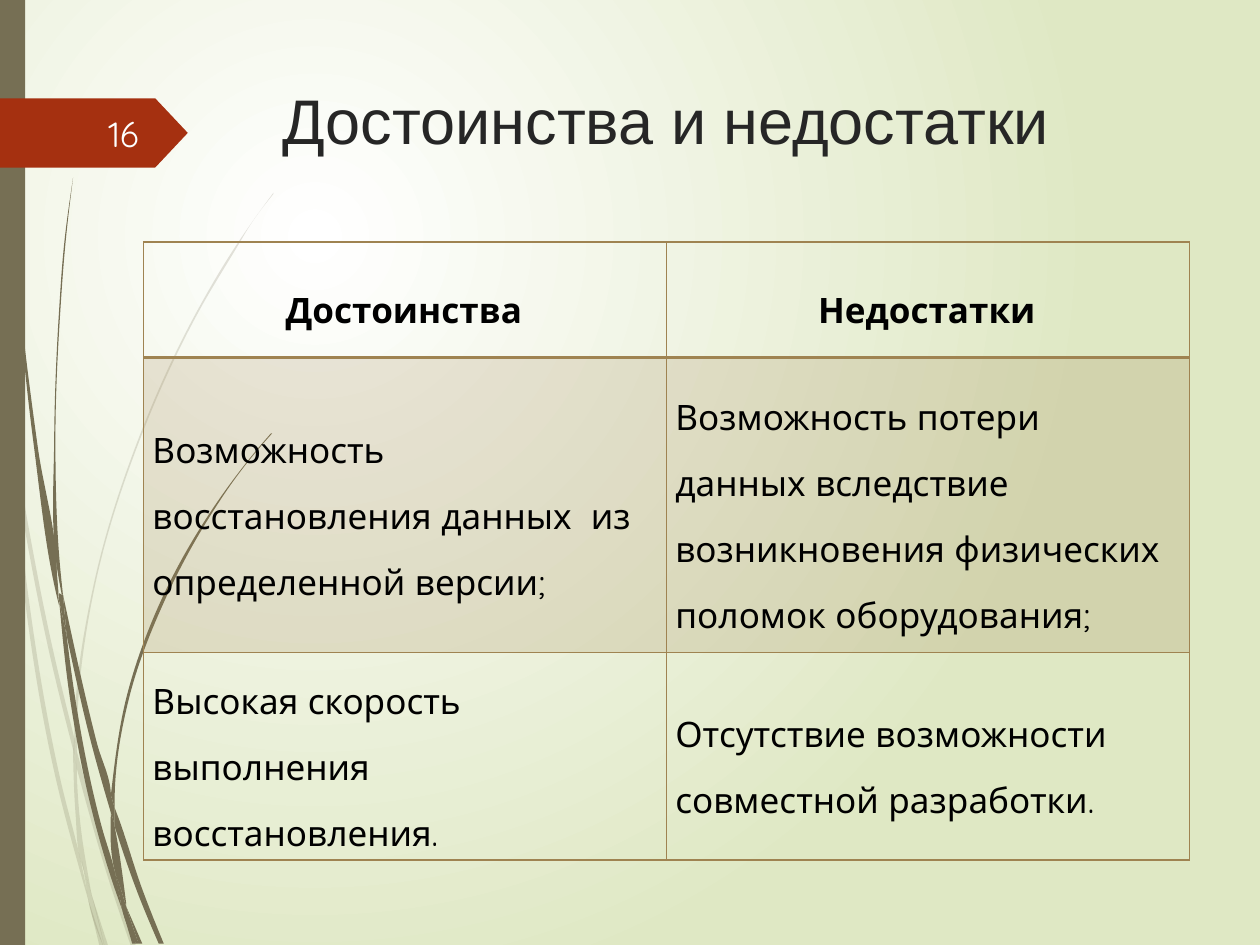
from typing import NamedTuple

from lxml.etree import SubElement as Sub
from pptx import Presentation
from pptx.dml.color import RGBColor
from pptx.enum.shapes import MSO_SHAPE as Shape
from pptx.enum.text import MSO_ANCHOR as Anchor, PP_ALIGN as Align
from pptx.oxml.ns import qn
from pptx.util import Inches, Pt

WHITE = RGBColor(0xFF, 0xFF, 0xFF)
LIME = RGBColor(0xDF, 0xE8, 0xC4)
OLIVE = RGBColor(0x76, 0x6F, 0x54)
RED = RGBColor(0xA5, 0x30, 0x10)
GOLD = RGBColor(0x9F, 0x83, 0x51)
DARK = RGBColor(0x26, 0x26, 0x26)
BLACK = RGBColor(0, 0, 0)
PALE = RGBColor(0xFE, 0xFF, 0xFF)

Point = tuple[float, float]


class Blade(NamedTuple):
    """Outline made of two smooth edges, one out and one back."""
    out: list[Point]
    back: list[Point]


class Entry(NamedTuple):
    text: str
    head: bool = False
    tint: bool = False


FAINT = [
    Blade([(0.08, 3.5), (0.06, 3.22), (0, 2.82)], [(0, 2.99), (0.07, 3.44)]),
    Blade([(0.12, 3.76), (0.4, 5.22), (0.59, 5.99)],
          [(0.59, 5.86), (0.43, 5.2), (0.1, 3.45)]),
    Blade([(0.61, 6.1), (0.85, 6.94), (1.04, 7.51)],
          [(1.08, 7.51), (0.88, 6.92), (0.64, 6.07), (0.61, 5.96)]),
    Blade([(0.73, 7.11), (0.83, 7.51)], [(0.86, 7.51)]),
    Blade([(0.08, 3.5), (0.19, 4.7), (0.45, 6.21), (0.64, 6.93), (0.7, 7.14)],
          [(0.69, 7.07), (0.64, 6.83), (0.48, 6.19), (0.22, 4.69), (0.12, 3.76)]),
    Blade([(0.58, 5.99), (0.6, 6.46), (0.64, 6.83), (0.67, 6.92), (0.73, 7.11)],
          [(0.72, 7.06), (0.63, 6.46), (0.61, 6.1), (0.61, 6.08)]),
    Blade([(0.61, 5.96), (0.61, 5.84), (0.76, 4.62), (1.11, 3.49), (1.59, 2.45),
           (1.87, 1.98), (2.01, 1.75), (2.17, 1.54)],
          [(2.17, 1.53), (2.01, 1.75), (1.86, 1.97), (1.58, 2.44), (1.1, 3.48),
           (0.75, 4.61), (0.59, 5.84), (0.59, 5.86)]),
    Blade([(0.7, 7.14), (0.79, 7.51)], [(0.82, 7.51)]),
    Blade([(0.61, 6.08), (0.61, 6.1), (0.61, 5.96)], [(0.59, 5.86), (0.58, 5.99)]),
    Blade([(0.65, 6.83), (0.69, 7.07), (0.7, 7.14), (0.82, 7.51)],
          [(0.83, 7.51), (0.73, 7.11), (0.67, 6.92)]),
]
STRONG = [
    Blade([(0.02, 0), (0.03, 0.48), (0.05, 1.1), (0.14, 2.33), (0.27, 3.55),
           (0.46, 4.77), (0.47, 4.81)],
          [(0.45, 4.57), (0.45, 4.53), (0.3, 3.55), (0.15, 2.32), (0.06, 1.09),
           (0.04, 0.48), (0.03, 0)]),
    Blade([(0.53, 5.05), (0.73, 5.92), (0.88, 6.45)],
          [(0.88, 6.33), (0.88, 6.31), (0.77, 5.9), (0.5, 4.72)]),
    Blade([(0.91, 6.56), (1.09, 7.08), (1.26, 7.49)],
          [(1.3, 7.49), (1.13, 7.06), (0.94, 6.49), (0.91, 6.41)]),
    Blade([(0.47, 4.77), (0.56, 5.57), (0.77, 6.59), (0.92, 7.08), (0.97, 7.22)],
          [(0.96, 7.17), (0.91, 6.91), (0.81, 6.57), (0.6, 5.56), (0.53, 5.05)]),
    Blade([(0.5, 4.72), (0.48, 4.53), (0.44, 3.49), (0.48, 2.45), (0.52, 1.93),
           (0.58, 1.41)],
          [(0.58, 1.41), (0.51, 1.93), (0.47, 2.45), (0.43, 3.49), (0.45, 4.49),
           (0.49, 4.72)]),
    Blade([(1, 7.19), (1.1, 7.49)], [(1.13, 7.49)]),
    Blade([(0.47, 4.77), (0.53, 5.05)],
          [(0.5, 4.72), (0.49, 4.72), (0.45, 4.49), (0.45, 4.53)]),
    Blade([(0.91, 6.41), (0.91, 6.33), (1.03, 5.52), (1.31, 4.76), (1.69, 4.06),
           (1.91, 3.74), (2.03, 3.59), (2.16, 3.44)],
          [(2.15, 3.44), (2.03, 3.58), (1.91, 3.73), (1.68, 4.05), (1.29, 4.74),
           (1.01, 5.51), (0.88, 6.31)]),
    Blade([(0.97, 7.22), (1.05, 7.49)], [(1.08, 7.49)]),
    Blade([(0.88, 6.45), (0.91, 6.91), (0.96, 7.06), (1, 7.19)],
          [(1, 7.16), (0.91, 6.56), (0.9, 6.51)]),
    Blade([(0.88, 6.45), (0.9, 6.51), (0.91, 6.56)], [(0.91, 6.41), (0.88, 6.31)]),
    Blade([(0.91, 6.91), (0.96, 7.17), (0.97, 7.22), (1.08, 7.49)],
          [(1.1, 7.49), (1, 7.19), (0.96, 7.06)]),
]
ROWS = [
    [Entry("Достоинства", head=True), Entry("Недостатки", head=True)],
    [Entry("Возможность восстановления данных  из определенной версии;", tint=True),
     Entry("Возможность потери данных вследствие возникновения физических "
           "поломок оборудования;", tint=True)],
    [Entry("Высокая скорость выполнения восстановления."),
     Entry("Отсутствие возможности совместной разработки.")],
]


def handles(edge: list[Point]) -> list[tuple[complex, complex]]:
    """Two Bezier control points for each step of a smooth edge."""
    dots = [complex(*p) for p in edge]
    steps = [b - a for a, b in zip(dots, dots[1:])]
    sizes = [abs(s) for s in steps]
    ways = [s / n for s, n in zip(steps, sizes)]
    mid = [(v * n + w * m) / (m + n)
           for v, w, m, n in zip(ways, ways[1:], sizes, sizes[1:])]
    if mid:
        tans = [1.5 * ways[0] - mid[0] / 2, *mid, 1.5 * ways[-1] - mid[-1] / 2]
    else:
        tans = ways * 2
    return [(a + s * n / 3, b - t * n / 3)
            for a, b, s, t, n in zip(dots, dots[1:], tans, tans[1:], sizes)]


def paint(item, color: RGBColor, alpha: int = 100) -> None:
    item.fill.solid()
    item.fill.fore_color.rgb = color
    if alpha < 100:
        tone = item.fill._xPr.find(qn("a:solidFill"))[0]
        Sub(tone, qn("a:alpha"), val=str(alpha * 1000))


def plain(shape, color: RGBColor, alpha: int = 100) -> None:
    paint(shape, color, alpha)
    shape.line.fill.background()
    shape.shadow.inherit = False


def draw_grass(slide, blades: list[Blade], alpha: int) -> None:
    group = slide.shapes.add_group_shape()
    for blade in blades:
        dots = [(Inches(x), Inches(y)) for x, y in blade.out + blade.back]
        pen = group.shapes.build_freeform(*dots[0])
        pen.add_line_segments(dots[1:], close=True)
        shape = pen.convert_to_shape()
        plain(shape, OLIVE, alpha)
        bends = [*handles(blade.out), None, *handles(blade.back)]
        for line, bend in zip(list(shape._element.iter(qn("a:lnTo"))), bends):
            if bend:
                line.tag = qn("a:cubicBezTo")
                for n, dot in enumerate(bend):
                    knob = Sub(line, qn("a:pt"), x=str(Inches(dot.real) - shape.left),
                               y=str(Inches(dot.imag) - shape.top))
                    line.insert(n, knob)


def write(frame, text: str, align: Align, spacing: float = 1, **font) -> None:
    para = frame.paragraphs[0]
    para.alignment, para.line_spacing = align, spacing
    run = para.add_run()
    run.text = text
    run.font.color.rgb = font.pop("color")
    for key, value in font.items():
        setattr(run.font, key, value)


def edge_cell(cell, widths: dict[str, float]) -> None:
    """Give the cell its four borders, in points."""
    props = cell._tc.get_or_add_tcPr()
    for side, width in widths.items():
        line = Sub(props, qn(f"a:ln{side}"), w=str(Pt(width)))
        Sub(Sub(line, qn("a:solidFill")), qn("a:srgbClr"), val=str(GOLD))


def fill_cell(cell, entry: Entry) -> None:
    edge_cell(cell, {"L": 1, "R": 1, "T": 2 if entry.tint else 1,
                     "B": 2 if entry.head else 1})
    if entry.tint:
        paint(cell, GOLD, 20)
    else:
        cell.fill.background()
    cell.vertical_anchor = Anchor.MIDDLE
    cell.margin_left, cell.margin_right = Inches(0.07), Inches(0.09)
    cell.margin_top = cell.margin_bottom = Inches(0.04)
    write(cell.text_frame, entry.text, Align.CENTER if entry.head else Align.LEFT,
          1.5, name="Quicksand", size=Pt(20), bold=entry.head, color=BLACK)


def draw_table(slide) -> None:
    table = slide.shapes.add_table(3, 2, *map(Inches, (1.14, 1.92, 8.3, 4.89))).table
    table.first_row = table.horz_banding = False
    for col in table.columns:
        col.width = Inches(4.15)
    for row, height, entries in zip(table.rows, (0.92, 2.34, 1.63), ROWS):
        row.height = Inches(height)
        for cell, entry in zip(row.cells, entries):
            fill_cell(cell, entry)


def set_back(slide) -> None:
    """Radial glow centred in the upper left."""
    fill = slide.background.fill
    fill.gradient()
    for stop, color in zip(fill.gradient_stops, (WHITE, LIME)):
        stop.color.rgb = color
    grad = slide._element.find(".//" + qn("a:gradFill"))
    grad.remove(grad.find(qn("a:lin")))
    glow = Sub(grad, qn("a:path"), {"path": "circle"})
    Sub(glow, qn("a:fillToRect"), l="50000", t="50000", r="100000", b="100000")


def main() -> None:
    deck = Presentation()
    deck.slide_width, deck.slide_height = Inches(10), Inches(7.5)
    slide = deck.slides.add_slide(deck.slide_layouts[5])
    shapes = slide.shapes
    set_back(slide)
    draw_grass(slide, FAINT, 20)
    draw_grass(slide, STRONG, 100)
    plain(shapes.add_shape(Shape.RECTANGLE, 0, 0, Inches(0.2), Inches(7.5)), OLIVE)
    tag = shapes.add_shape(Shape.PENTAGON, 0, *map(Inches, (0.78, 1.49, 0.55)))
    tag.adjustments[0] = 0.47
    plain(tag, RED)

    title = shapes.title
    title.left, title.top, title.width, title.height = map(
        Inches, (1.68, 0.6, 7.21, 0.78))
    title.text_frame.vertical_anchor = Anchor.TOP
    write(title.text_frame, "Достоинства и недостатки", Align.CENTER,
          name="Arial", size=Pt(36), color=DARK)
    draw_table(slide)

    number = shapes.add_textbox(*map(Inches, (0.56, 0.86, 0.64, 0.4))).text_frame
    number.word_wrap = True
    number.vertical_anchor = Anchor.MIDDLE
    write(number, "16", Align.RIGHT, name="Quicksand", size=Pt(20), color=PALE)
    deck.save("out.pptx")


if __name__ == "__main__":
    main()
